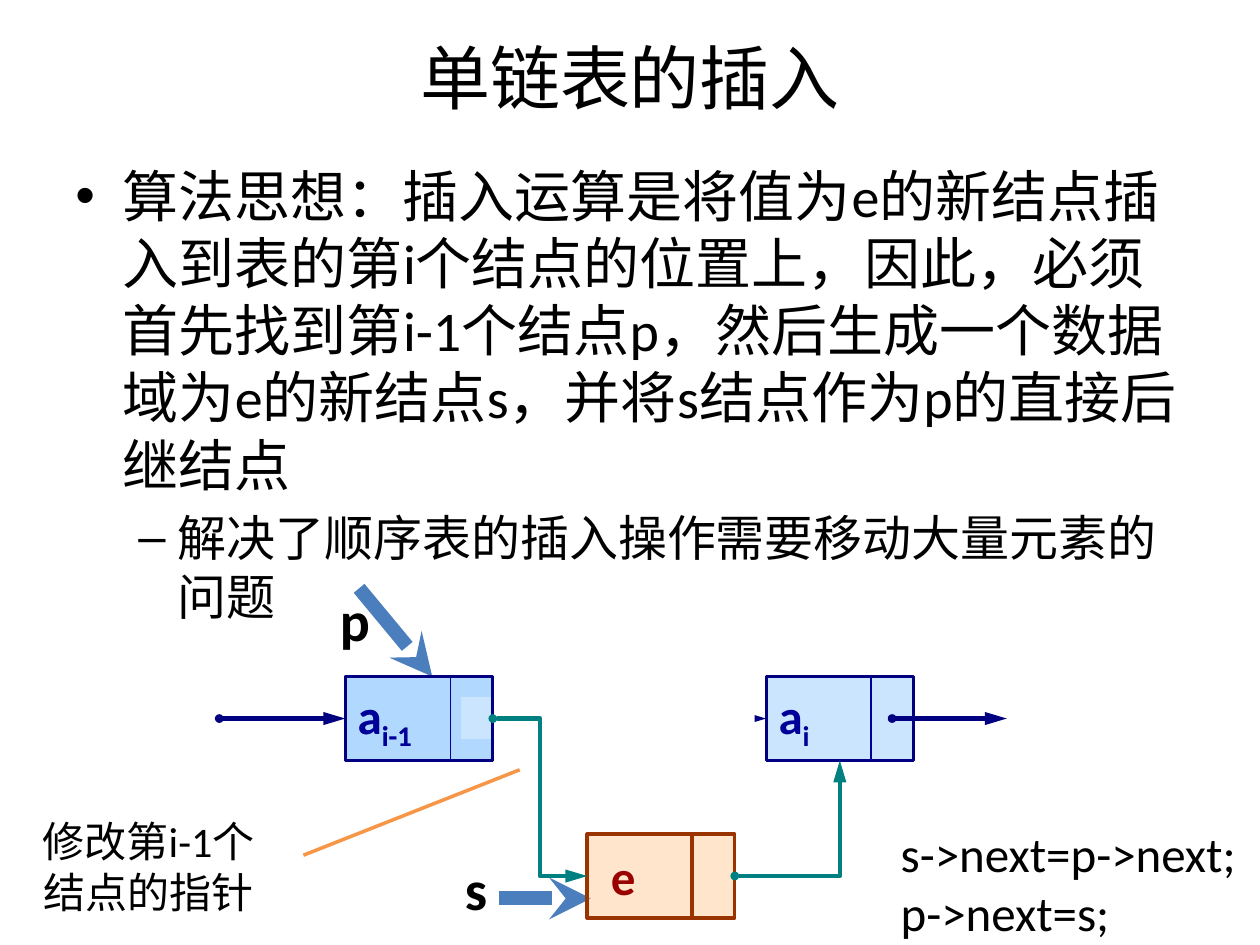
from lxml import etree
from pptx import Presentation
from pptx.dml import color
from pptx.enum import shapes, text
from pptx.oxml import ns
from pptx.util import Pt

COLORS = {
    "black": "000000", "white": "FFFFFF", "navy": "000080", "ink": "000099",
    "sky": "99CCFF", "peach": "FFCC99", "brown": "993300", "red": "990000",
    "teal": "008080", "blue": "4B7EBC", "orange": "F79646",
}
FONT = "Calibri"
NODE_W, NODE_H, SPLIT = 84.3, 48, 60
ROW, LOW = 386.6, 476.6  # tops of the list row and of the new node
MID = ROW + NODE_H / 2


def rgb(name):
    return color.RGBColor.from_string(COLORS[name])


def sub(parent, tag, **attrs):
    return etree.SubElement(parent, ns.qn(tag), attrs)


def add_run(para, words, size, hue="black", bold=False, base=0):
    run = para.add_run()
    run.text = words
    font = run.font
    font.name, font.size, font.bold = FONT, Pt(size), bold
    font.color.rgb = rgb(hue)
    if base:
        run._r.get_or_add_rPr().set("baseline", str(base * 1000))


def add_text(slide, box, lines, size, bold=False, wrap=True):
    frame = slide.shapes.add_textbox(*map(Pt, box)).text_frame
    frame.word_wrap = wrap
    for i, words in enumerate(lines):
        para = frame.add_paragraph() if i else frame.paragraphs[0]
        add_run(para, words, size, bold=bold)
    return frame


def set_bullet(para, mark, left, hang):
    props = para._p.get_or_add_pPr()
    props.set("marL", str(Pt(left)))
    props.set("indent", str(-Pt(hang)))
    sub(props, "a:buFont", typeface="Arial")
    sub(props, "a:buChar", char=mark)


def add_shape(slide, kind, box, fill, line=None, width=0, alpha=None):
    shape = slide.shapes.add_shape(kind, *map(Pt, box))
    shape.shadow.inherit = False
    shape.fill.solid()
    shape.fill.fore_color.rgb = rgb(fill)
    if alpha:
        hue = shape._element.spPr.find(".//" + ns.qn("a:srgbClr"))
        sub(hue, "a:alpha", val=str(alpha * 1000))
    if line:
        shape.line.color.rgb = rgb(line)
        shape.line.width = Pt(width)
    else:
        shape.line.fill.background()
    return shape


def add_line(slide, ends, hue, width, head=None, tail=None, bend=None):
    kinds = shapes.MSO_CONNECTOR
    line = slide.shapes.add_connector(
        kinds.ELBOW if bend else kinds.STRAIGHT, *map(Pt, ends))
    line.line.color.rgb = rgb(hue)
    line.line.width = Pt(width)
    props = line._element.spPr
    if bend:
        props.find(ns.qn("a:prstGeom")).set("prst", bend)
    stroke = line.line._get_or_add_ln()
    if head:
        sub(stroke, "a:headEnd", type=head, w="sm", len="sm")
    if tail:
        size = "lg" if tail == "triangle" else "med"
        sub(stroke, "a:tailEnd", type=tail, w="med", len=size)
    sub(props, "a:effectLst")
    return line


def add_link(slide, ends, hue="navy", bend=None):
    return add_line(slide, ends, hue, 2.5, "oval", "triangle", bend)


def add_node(slide, x, y, name, index="", hues=("sky", "navy", "ink"),
             width=1.75, inset=7.2):
    fill, line, ink = hues
    node = add_shape(slide, shapes.MSO_SHAPE.RECTANGLE,
                     (x, y, NODE_W, NODE_H), fill, line, width, alpha=50)
    frame = node.text_frame
    frame.word_wrap = False
    frame.margin_left = Pt(inset)
    frame.vertical_anchor = text.MSO_ANCHOR.MIDDLE
    para = frame.paragraphs[0]
    para.alignment = text.PP_ALIGN.LEFT
    add_run(para, name, 28, ink, True)
    if index:
        add_run(para, index, 28, ink, True, -25)
    return node


def add_split(slide, x, y, hue, width):
    add_line(slide, (x + SPLIT, y, x + SPLIT, y + NODE_H), hue, width)


def add_intro(slide):
    # Title
    frame = add_text(slide, (36, 4.3, 648, 78.5), ["单链表的插入"], 40)
    frame.vertical_anchor = text.MSO_ANCHOR.MIDDLE
    frame.paragraphs[0].alignment = text.PP_ALIGN.CENTER

    # Idea of the algorithm
    frame = add_text(slide, (36, 88.6, 648, 436), [], 32)
    idea, gain = frame.paragraphs[0], frame.add_paragraph()
    set_bullet(idea, "•", 27, 27)
    add_run(idea, "算法思想：插入运算是将值为e的新结点插入到表的第i个结点的位置上，"
                  "因此，必须首先找到第i-1个结点p，然后生成一个数据域为e的新结点s，"
                  "并将s结点作为p的直接后继结点", 32)
    gain.level = 1
    set_bullet(gain, "–", 58.5, 22.5)
    gain.space_before = Pt(5.6)
    add_run(gain, "解决了顺序表的插入操作需要移动大量元素的问题", 28)


def add_list(slide):
    prev_x, new_x, next_x = 197.3, 335.6, 437.8

    # Pointers p and s
    for ends in ((205.2, 336.2, 247, 386.6), (285.1, 513.4, 337.7, 513.4)):
        add_line(slide, ends, "blue", 8, tail="stealth")
    for name, box in (("p", (187.2, 331.2, 31.7, 46)),
                      ("s", (258.5, 484.6, 27.4, 46))):
        add_text(slide, box, [name], 32, bold=True, wrap=False)

    # Nodes and the links along the row
    prev = add_node(slide, prev_x, ROW, "a", "i-1")
    add_link(slide, (125.3, MID, prev_x, MID)).end_connect(prev, 1)
    new = add_node(slide, new_x, LOW, "e", hues=("peach", "brown", "red"),
                   width=2, inset=13.5)
    add_split(slide, new_x, LOW, "brown", 2)
    old = add_link(slide, (269.3, MID, next_x, MID))
    succ = add_node(slide, next_x, ROW, "a", "i")
    old.end_connect(succ, 1)
    add_split(slide, next_x, ROW, "ink", 0.75)
    add_link(slide, (509.8, MID, 575.3, MID))

    # Cover over the old link, then the changed node
    add_shape(slide, shapes.MSO_SHAPE.RECTANGLE, (263.5, 398.2, 167.8, 24),
              "white")
    prev = add_node(slide, prev_x, ROW, "a", "i-1")
    add_split(slide, prev_x, ROW, "ink", 0.75)

    # New links through the inserted node
    low = LOW + NODE_H / 2
    link = add_link(slide, (prev_x + NODE_W, MID, new_x, low), "teal",
                    "bentConnector3")
    link.begin_connect(prev, 3)
    link.end_connect(new, 1)
    link = add_link(slide, (new_x + NODE_W, low, next_x + NODE_W / 2,
                            ROW + NODE_H), "teal", "bentConnector2")
    link.begin_connect(new, 3)
    link.end_connect(succ, 2)


def add_notes(slide):
    # Callout on the changed pointer
    note = add_shape(slide, shapes.MSO_SHAPE.LINE_CALLOUT_1_NO_BORDER,
                     (8.6, 463.7, 152.6, 62.6), "white", "orange", 2)
    for i, value in enumerate((0.4, 1.08, -0.38, 1.89)):
        note.adjustments[i] = value
    frame = note.text_frame
    frame.word_wrap = True
    frame.vertical_anchor = text.MSO_ANCHOR.MIDDLE
    para = frame.paragraphs[0]
    para.alignment = text.PP_ALIGN.CENTER
    add_run(para, "修改第i-1个结点的指针", 24)

    # Code
    add_text(slide, (507.6, 467.3, 212.4, 74.9),
             ["s->next=p->next;", "p->next=s;"], 28)


def main():
    deck = Presentation()
    deck.slide_width, deck.slide_height = Pt(720), Pt(540)
    slide = deck.slides.add_slide(deck.slide_layouts[6])
    add_intro(slide)
    add_list(slide)
    add_notes(slide)
    deck.save("out.pptx")


if __name__ == "__main__":
    main()
